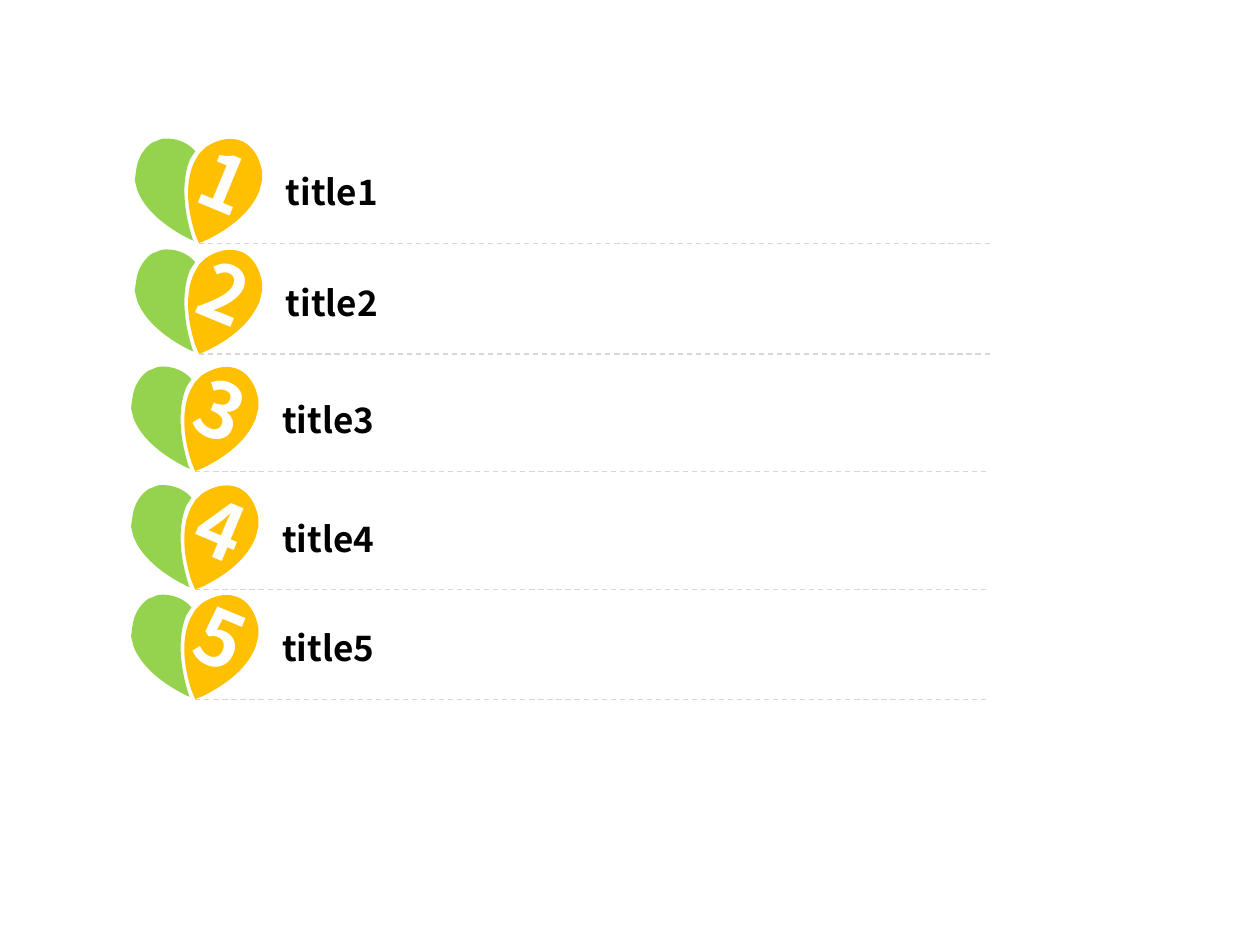
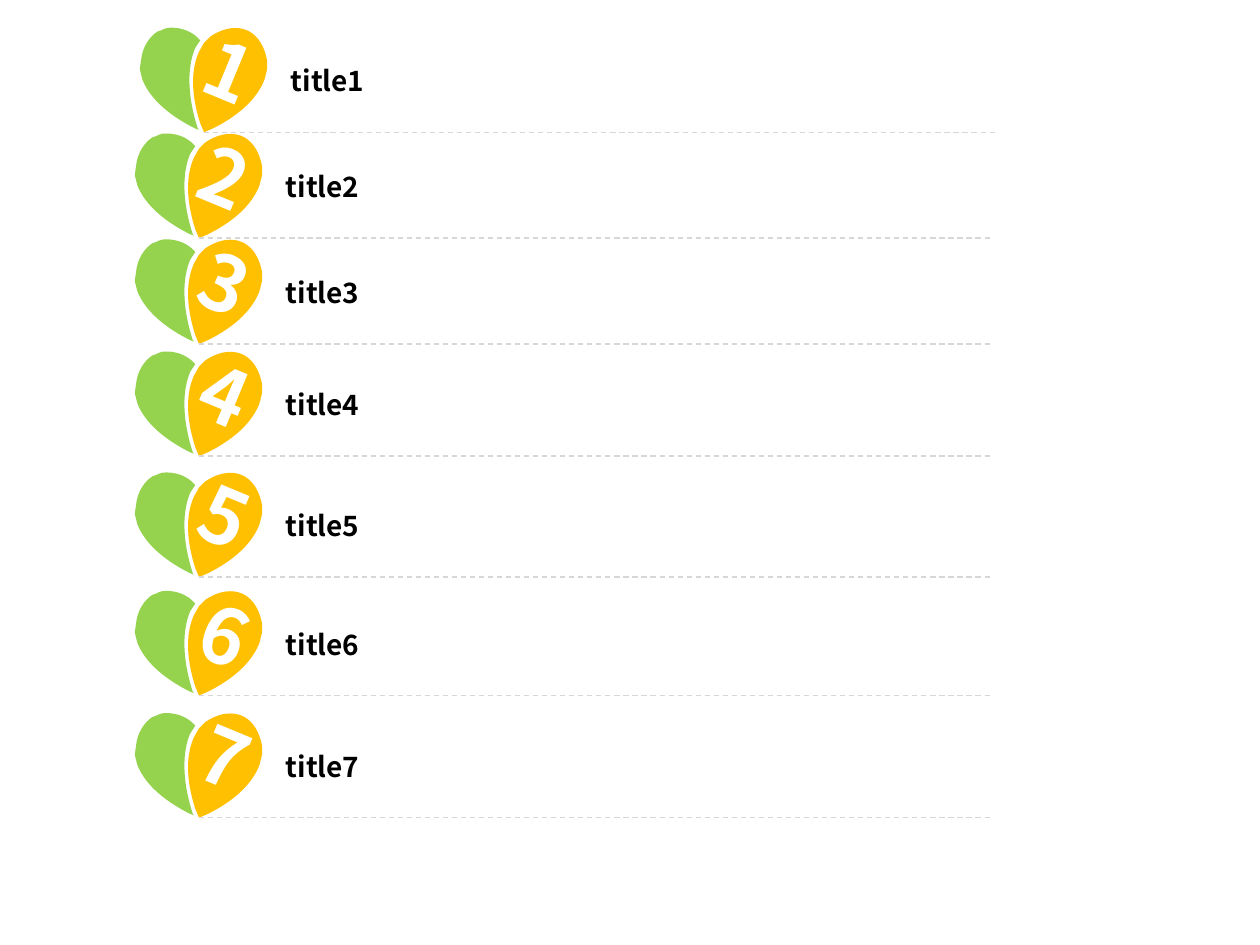
from math import cos, radians, sin

from lxml.etree import SubElement
from pptx import Presentation
from pptx.dml.color import RGBColor
from pptx.enum.dml import MSO_LINE_DASH_STYLE as Dash
from pptx.enum.shapes import MSO_CONNECTOR as Connector
from pptx.enum.text import MSO_ANCHOR as Anchor, PP_ALIGN as Align
from pptx.oxml.ns import qn
from pptx.util import Inches, Pt

COLORS = {"green": "95D34E", "gold": "FFC001", "line": "D7D7D7",
          "title": "000000", "number": "FFFFFF"}

# Leaf outlines in inches from the heart's corner, as seen after rotation.
# Two numbers are a corner, six are a Bezier curve.
LEAVES = {
    "green": {
        "center": (0.32, 0.42), "size": (0.54, 0.85), "angle": -22.5,
        "outline": [
            (0.25, 0), (0.32, 0, 0.39, 0.02, 0.45, 0.07), (0.48, 0.10),
            (0.44, 0.16), (0.38, 0.30, 0.37, 0.52, 0.46, 0.80),
            (0.47, 0.81), (0.44, 0.80),
            (0.20, 0.68, 0.07, 0.54, 0.02, 0.41), (0, 0.33), (0.01, 0.26),
            (0.02, 0.15, 0.08, 0.07, 0.14, 0.03), (0.17, 0.02),
            (0.19, 0.01), (0.21, 0, 0.23, 0, 0.25, 0)],
    },
    "gold": {
        "center": (0.68, 0.43), "size": (0.57, 0.88), "angle": 22.5,
        "outline": [
            (0.85, 0.02), (0.82, 0.01),
            (0.74, -0.01, 0.65, 0.01, 0.56, 0.07), (0.51, 0.12),
            (0.47, 0.19), (0.41, 0.32, 0.40, 0.51, 0.48, 0.76),
            (0.51, 0.83), (0.58, 0.80),
            (0.82, 0.68, 0.94, 0.54, 0.99, 0.41), (1.01, 0.33),
            (1.01, 0.26), (0.99, 0.15, 0.94, 0.07, 0.87, 0.03)],
    },
}

# Each agenda: title size, title width and the corner of every heart.
AGENDAS = [
    {"title_size": 20, "title_width": 7.48,
     "hearts": [(1.07, 1.10), (1.07, 1.98), (1.04, 2.91), (1.04, 3.85),
                (1.04, 4.72)]},
    {"title_size": 16, "title_width": 7.44,
     "hearts": [(1.11, 0.22), (1.07, 1.06), (1.07, 1.90), (1.07, 2.79),
                (1.07, 3.75), (1.07, 4.69), (1.07, 5.66)]},
]


def add_leaf(slide, left, top, name):
    """Add one leaf of the heart whose corner is at left, top."""
    leaf = LEAVES[name]
    center_x, center_y = leaf["center"]
    width, height = leaf["size"]
    cosine, sine = cos(radians(leaf["angle"])), sin(radians(leaf["angle"]))
    # Turn the outline upright, since the shape itself is rotated.
    segments = []
    for step in leaf["outline"]:
        segment = []
        for x, y in zip(step[::2], step[1::2]):
            dx, dy = x - center_x, y - center_y
            segment.append((Inches(width / 2 + dx * cosine + dy * sine),
                            Inches(height / 2 - dx * sine + dy * cosine)))
        segments.append(segment)
    builder = slide.shapes.build_freeform(*segments[0][-1])
    builder.add_line_segments([segment[-1] for segment in segments[1:]], close=True)
    shape = builder.convert_to_shape()
    shape.left = Inches(left + center_x - width / 2)
    shape.top = Inches(top + center_y - height / 2)
    shape.width, shape.height = Inches(width), Inches(height)
    shape.rotation = leaf["angle"]

    # Redraw the outline in the box's own units, with real curves.
    outline = shape._element.xpath(".//a:path")[0]
    outline.set("w", str(shape.width))
    outline.set("h", str(shape.height))
    for command in list(outline):
        outline.remove(command)
    for index, segment in enumerate(segments):
        tag = "a:cubicBezTo" if len(segment) == 3 else "a:lnTo"
        command = SubElement(outline, qn(tag if index else "a:moveTo"))
        for x, y in segment:
            SubElement(command, qn("a:pt"), x=str(x), y=str(y))
    SubElement(outline, qn("a:close"))

    shape.shadow.inherit = False
    shape.fill.solid()
    shape.fill.fore_color.rgb = RGBColor.from_string(COLORS[name])
    shape.line.fill.background()
    return shape


def write_text(shape, text, font_name, size, color):
    """Put one bold, vertically centred line of text in a shape."""
    text_frame = shape.text_frame
    text_frame.text = text
    text_frame.word_wrap = True
    text_frame.vertical_anchor = Anchor.MIDDLE
    font = text_frame.paragraphs[0].runs[0].font
    font.name, font.size, font.bold = font_name, Pt(size), True
    font.color.rgb = RGBColor.from_string(COLORS[color])
    return text_frame


presentation = Presentation()
presentation.slide_width, presentation.slide_height = Inches(10), Inches(7.5)

for agenda in AGENDAS:
    slide = presentation.slides.add_slide(presentation.slide_layouts[6])
    for number, (left, top) in enumerate(agenda["hearts"], start=1):
        add_leaf(slide, left, top, "green")
        gold_leaf = add_leaf(slide, left, top, "gold")
        text_frame = write_text(gold_leaf, str(number), "Noto Sans CJK JP", 44, "number")
        text_frame.margin_left = text_frame.margin_right = text_frame.margin_top = 0
        text_frame.margin_bottom = Inches(0.2)
        text_frame.paragraphs[0].alignment = Align.CENTER

        rule_y = Inches(top + 0.83)
        rule = slide.shapes.add_connector(
            Connector.STRAIGHT, Inches(left + 0.51), rule_y, Inches(left + 6.8), rule_y)
        rule.line.color.rgb = RGBColor.from_string(COLORS["line"])
        rule.line.width = Pt(0.75)
        rule.line.dash_style = Dash.DASH
        SubElement(rule._element.spPr, qn("a:effectLst"))

        title = slide.shapes.add_textbox(
            Inches(left + 1.1), Inches(top + 0.1),
            Inches(agenda["title_width"]), Inches(0.64))
        write_text(title, f"title{number}", "Noto Sans CJK SC",
                   agenda["title_size"], "title")

presentation.save("out.pptx")
